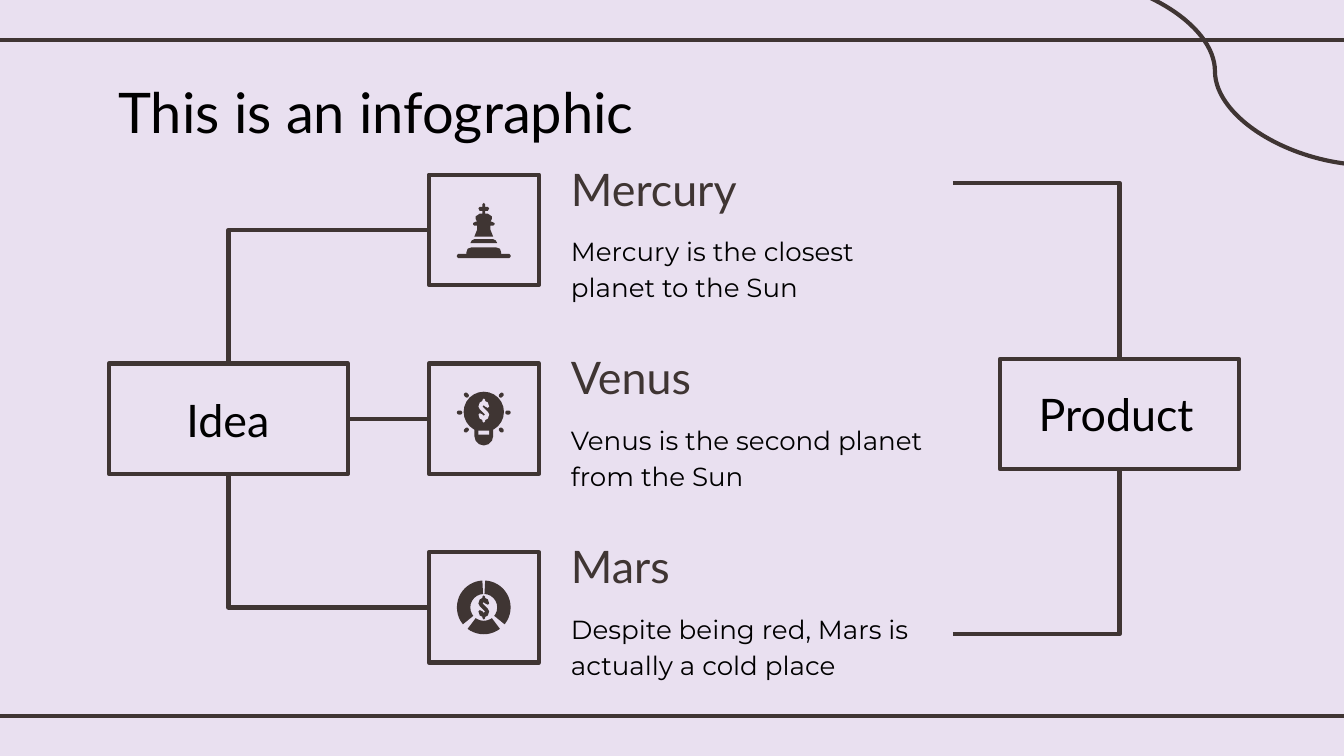
from dataclasses import dataclass

from lxml.etree import SubElement
from pptx import Presentation
from pptx.dml.color import RGBColor
from pptx.enum.shapes import MSO_CONNECTOR, MSO_SHAPE
from pptx.enum.text import MSO_ANCHOR, MSO_AUTO_SIZE, PP_ALIGN
from pptx.oxml.ns import qn
from pptx.util import Inches, Pt


@dataclass(frozen=True)
class Theme:
    background: RGBColor = RGBColor(0xE9, 0xE0, 0xF0)
    dark: RGBColor = RGBColor(0x3F, 0x35, 0x33)
    black: RGBColor = RGBColor(0, 0, 0)
    heading_font: str = "Lato"
    body_font: str = "Montserrat"
    title_size: int = 30
    heading_size: int = 24
    body_size: int = 14
    line_width: float = 2.25


THEME = Theme()
PLANETS = [
    ("Mercury", "Mercury is the closest planet to the Sun"),
    ("Venus", "Venus is the second planet from the Sun"),
    ("Mars", "Despite being red, Mars is actually a cold place"),
]
FIRST_ROW_TOP, LAST_ROW_TOP = 1.3, 4.11
ROW_STEP = (LAST_ROW_TOP - FIRST_ROW_TOP) / (len(PLANETS) - 1)
BOX_WIDTH, BOX_HEIGHT = 1.78, 0.82
ICON_LEFT, ICON_CENTER = 3.19, 3.6
FIRST_HALF_DOLLAR = [
    (0, 0), (-1, 1), (-1, 2), (-3, 3), (-4, 6), (-3, 8), (-1, 10),
    (1, 12), (0, 13), (-1, 12), (-3, 11), (-4, 12), (-3, 15),
    (-1, 16), (-1, 17),
]
CHESS_PROFILES = [
    [(0, 0), (1, 1), (1, 3), (3, 3), (4, 4), (3, 6), (1, 6), (1, 8),
     (3, 8), (6, 10), (6, 12), (5, 14), (6, 14), (8, 15), (8, 16),
     (7, 17), (5, 17), (5, 20), (7, 25)],
    [(7, 27), (9, 28), (10, 30)],
    [(9, 33), (12, 34), (13, 37), (13, 38), (19, 38), (20, 39),
     (20, 40), (19, 41)],
]


def fill_shape(shape, color):
    shape.shadow.inherit = False
    shape.fill.solid()
    shape.fill.fore_color.rgb = color
    shape.line.fill.background()
    return shape


def add_filled(shapes, kind, left, top, width, height, color=THEME.dark):
    shape = shapes.add_shape(kind, Inches(left), Inches(top), Inches(width), Inches(height))
    return fill_shape(shape, color)


def add_outline(shapes, points, top, color=THEME.dark):
    builder = shapes.build_freeform(*points[0], scale=Inches(0.01))
    builder.add_line_segments(points[1:], close=True)
    fill_shape(builder.convert_to_shape(Inches(ICON_CENTER), Inches(top)), color)


def add_frame(slide, left, top, width):
    frame = slide.shapes.add_shape(
        MSO_SHAPE.RECTANGLE, Inches(left), Inches(top), Inches(width), Inches(BOX_HEIGHT))
    frame.shadow.inherit = False
    frame.fill.background()
    frame.line.color.rgb = THEME.dark
    frame.line.width = Pt(THEME.line_width)
    return frame


def add_line(slide, kind, start, end, bend=None):
    points = [Inches(value) for value in (*start, *end)]
    connector = slide.shapes.add_connector(kind, *points)
    connector.line.color.rgb = THEME.dark
    connector.line.width = Pt(THEME.line_width)
    properties = connector.element.spPr
    SubElement(properties, qn("a:effectLst"))
    if bend is not None:
        adjustments = properties.find(qn("a:prstGeom")).find(qn("a:avLst"))
        SubElement(adjustments, qn("a:gd"), name="adj1", fmla=f"val {bend}")
    return connector


def write_text(shape, text, font, size, color, alignment=PP_ALIGN.LEFT, spacing=1.0):
    frame = shape.text_frame
    frame.word_wrap = True
    frame.auto_size = MSO_AUTO_SIZE.NONE
    frame.vertical_anchor = MSO_ANCHOR.TOP
    frame.margin_left = frame.margin_right = Inches(0.1)
    frame.margin_top = frame.margin_bottom = Inches(0.1)
    paragraph = frame.paragraphs[0]
    paragraph.alignment = alignment
    paragraph.line_spacing = spacing
    paragraph.space_before = Pt(0)
    run = paragraph.add_run()
    run.text = text
    run.font.name = font
    run.font.size = Pt(size)
    run.font.color.rgb = color


def add_title(slide, text):
    title = slide.shapes.title
    title.left, title.top = Inches(0.78), Inches(0.48)
    title.width, title.height = Inches(8.44), Inches(0.63)
    write_text(title, text, THEME.heading_font, THEME.title_size, THEME.black)


def add_heading(slide, text, left, top, width, height, color, alignment=PP_ALIGN.LEFT):
    box = slide.shapes.add_textbox(Inches(left), Inches(top), Inches(width), Inches(height))
    write_text(box, text, THEME.heading_font, THEME.heading_size, color, alignment)


def add_description(slide, text, left, top):
    box = slide.shapes.add_textbox(Inches(left), Inches(top), Inches(2.94), Inches(0.59))
    write_text(box, text, THEME.body_font, THEME.body_size, THEME.black, spacing=1.15)


def add_dollar(shapes, top, color):
    second_half = [(-x, 18 - y) for x, y in FIRST_HALF_DOLLAR]
    add_outline(shapes, FIRST_HALF_DOLLAR + second_half, top, color)


def add_chess_icon(shapes, middle):
    for profile in CHESS_PROFILES:
        mirrored = [(-x, y) for x, y in reversed(profile)]
        add_outline(shapes, profile + mirrored, middle - 0.2)


def add_bulb_icon(shapes, middle):
    add_filled(shapes, MSO_SHAPE.OVAL, ICON_CENTER - 0.15, middle - 0.2, 0.3, 0.3)
    neck = add_filled(shapes, MSO_SHAPE.ROUNDED_RECTANGLE,
                      ICON_CENTER - 0.07, middle, 0.14, 0.2)
    neck.adjustments[0] = 0.5
    add_filled(shapes, MSO_SHAPE.RECTANGLE, ICON_CENTER - 0.04, middle + 0.09,
               0.08, 0.03, THEME.background)
    add_dollar(shapes, middle - 0.15, THEME.background)
    for side in (-1, 1):
        for level in (-1, 0, 1):
            offset = side * (0.13 if level else 0.18)
            ray = add_filled(shapes, MSO_SHAPE.ROUNDED_RECTANGLE,
                             ICON_CENTER + offset - 0.02,
                             middle - 0.06 + 0.13 * level, 0.04, 0.03)
            ray.adjustments[0] = 0.5
            ray.rotation = 45 * side * level


def add_ring_icon(shapes, middle):
    for start, end in ((141, 267), (273, 39), (53, 127)):
        arc = add_filled(shapes, MSO_SHAPE.BLOCK_ARC,
                         ICON_CENTER - 0.2, middle - 0.2, 0.4, 0.4)
        arc.adjustments[0] = start * 0.6
        arc.adjustments[1] = end * 0.6
        arc.adjustments[2] = 0.25
    add_dollar(shapes, middle - 0.09, THEME.dark)


def main():
    presentation = Presentation()
    presentation.slide_width = Inches(10)
    presentation.slide_height = Inches(10) * 9 // 16
    slide = presentation.slides.add_slide(presentation.slide_layouts[5])
    slide.background.fill.solid()
    slide.background.fill.fore_color.rgb = THEME.background

    for height in (0.3, 5.33):
        add_line(slide, MSO_CONNECTOR.STRAIGHT, (-0.08, height), (10.08, height))
    add_line(slide, MSO_CONNECTOR.CURVE, (7.88, -0.17), (10.2, 1.23))
    add_title(slide, "This is an infographic")

    idea = add_frame(slide, 0.81, FIRST_ROW_TOP + ROW_STEP, BOX_WIDTH)
    add_heading(slide, "Idea", 0.99, 2.82, 1.41, 0.63, THEME.black, PP_ALIGN.CENTER)
    add_frame(slide, 7.44, 2.67, BOX_WIDTH)
    add_heading(slide, "Product", 7.63, 2.78, 1.41, 0.63, THEME.black)

    icon_frames = []
    icons = (add_chess_icon, add_bulb_icon, add_ring_icon)
    for row, ((name, description), add_icon) in enumerate(zip(PLANETS, icons)):
        top = FIRST_ROW_TOP + row * ROW_STEP
        icon_frames.append(add_frame(slide, ICON_LEFT, top, BOX_HEIGHT))
        add_icon(slide.shapes.add_group_shape().shapes, top + BOX_HEIGHT / 2)
        add_heading(slide, name, 4.15, top - 0.2, 2.94, 0.52, THEME.dark)
        add_description(slide, description, 4.15, top + 0.32)

    link = add_line(slide, MSO_CONNECTOR.STRAIGHT, (2.59, 3.12), (ICON_LEFT, 3.12))
    link.begin_connect(idea, 3)
    link.end_connect(icon_frames[1], 1)
    for start, end, bend in (
        ((1.7, 2.71), (ICON_LEFT, 1.71), 0),
        ((1.7, 3.53), (ICON_LEFT, 4.52), 0),
        ((7.09, 1.36), (8.33, 2.67), 100000),
        ((7.09, 4.72), (8.33, 3.49), 100000),
    ):
        add_line(slide, MSO_CONNECTOR.ELBOW, start, end, bend)

    presentation.save("out.pptx")


if __name__ == "__main__":
    main()
